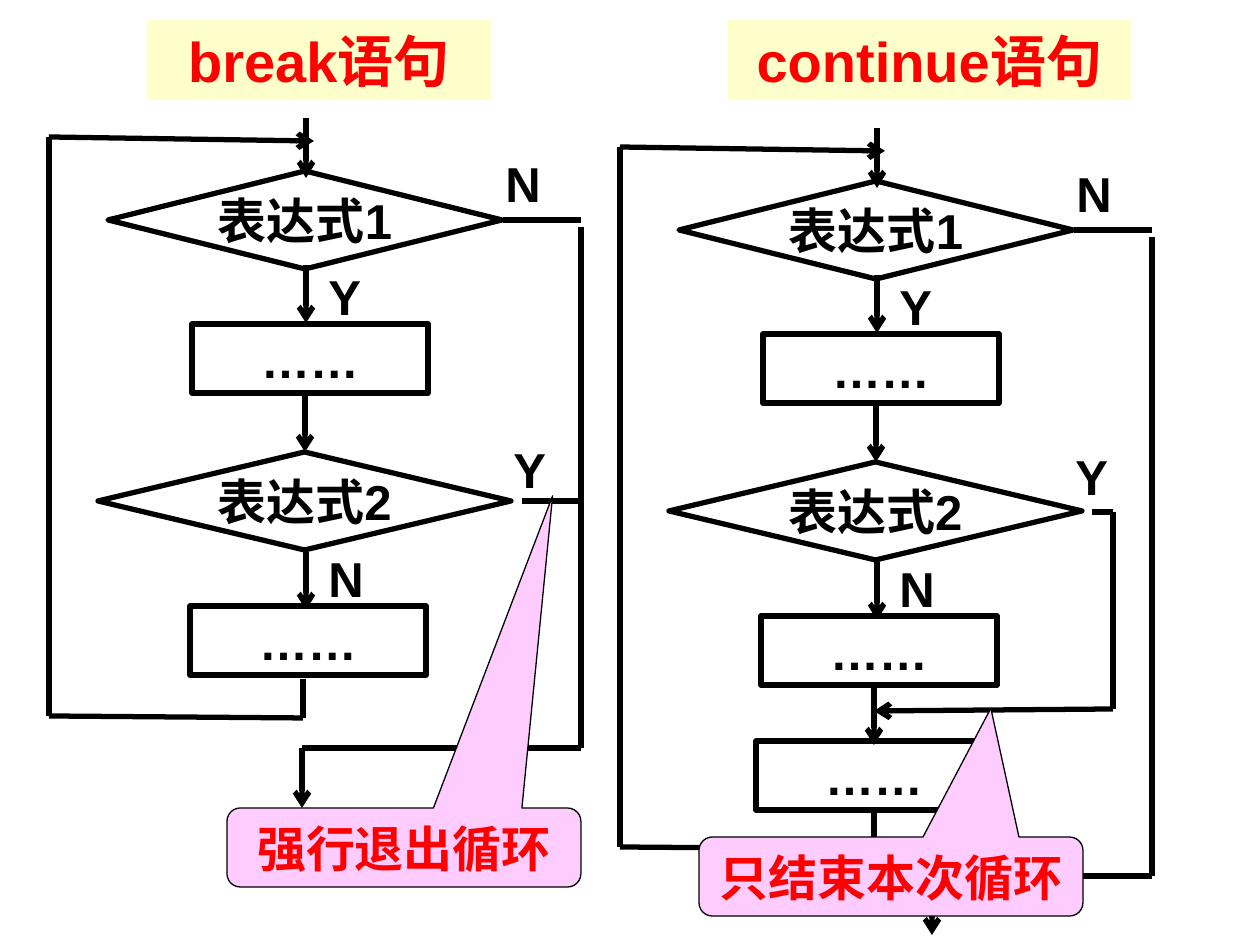
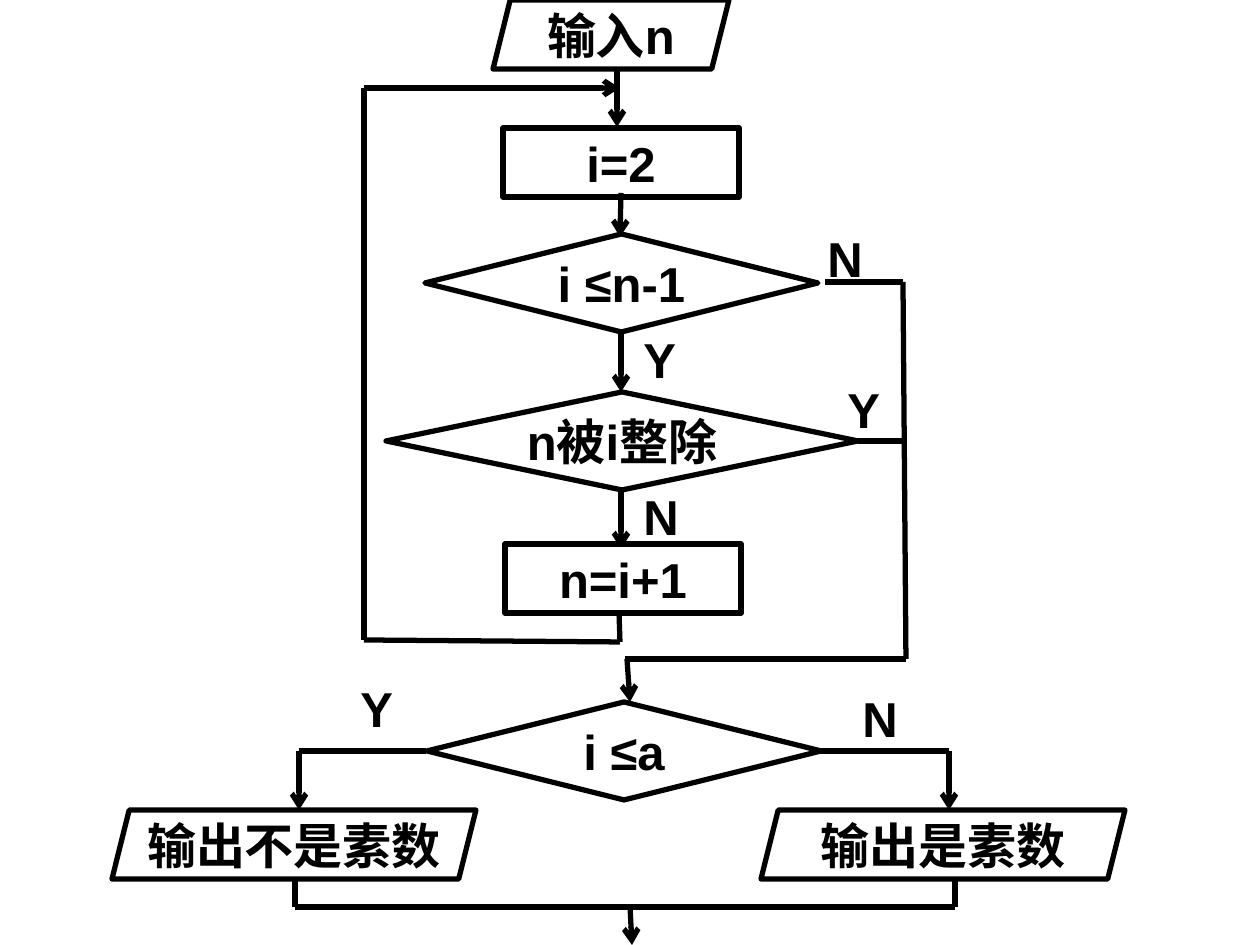
import itertools
from dataclasses import dataclass

import pptx
import pptx.dml.color
import pptx.enum.shapes
import pptx.enum.text
import pptx.oxml
import pptx.oxml.ns
import pptx.util

PX = 914400 / 126
SHAPE = pptx.enum.shapes.MSO_SHAPE
ALIGN = pptx.enum.text.PP_ALIGN
ANCHOR = pptx.enum.text.MSO_ANCHOR
A_NS = pptx.oxml.ns.nsdecls("a")


@dataclass(frozen=True)
class Theme:
    font: str = "Arial"
    ink: str = "000000"
    paper: str = "FFFFFF"
    accent: str = "FF0000"
    heading_fill: str = "FFFFCC"
    callout_fill: str = "FFCCFF"
    body_size: int = 28
    heading_size: int = 32
    flow_width: float = 3
    callout_width: float = 0.75


THEME = Theme()
STEP_SIZE = (236, 69)
DECISION_HEIGHT = 98
LABEL_SIZE = {"N": (69, 72), "Y": (62, 72)}


def px(length):
    return pptx.util.Emu(round(length * PX))


def rgb(color):
    return pptx.dml.color.RGBColor.from_string(color)


def write(shape, text, color=THEME.ink, size=THEME.body_size, align=ALIGN.CENTER,
          anchor=ANCHOR.MIDDLE, inset=(0, 0), wrap=False):
    frame = shape.text_frame
    frame.word_wrap = wrap
    frame.vertical_anchor = anchor
    frame.margin_left = frame.margin_right = pptx.util.Inches(inset[0])
    frame.margin_top = frame.margin_bottom = pptx.util.Inches(inset[1])
    paragraph = frame.paragraphs[0]
    paragraph.alignment = align
    run = paragraph.add_run()
    run.text = text
    run.font.name = THEME.font
    run.font.size = pptx.util.Pt(size)
    run.font.bold = True
    run.font.color.rgb = rgb(color)


class Region:
    """Part of a slide whose children are placed from its top left corner."""

    def __init__(self, slide, left, top):
        self.shapes = slide.shapes
        self.left, self.top = left, top

    def spot(self, x, y):
        return px(self.left + x), px(self.top + y)

    def block(self, kind, x, y, width, height, fill=THEME.paper,
              line_width=THEME.flow_width):
        shape = self.shapes.add_shape(kind, *self.spot(x, y), px(width), px(height))
        shape.shadow.inherit = False
        shape.fill.solid()
        shape.fill.fore_color.rgb = rgb(fill)
        if line_width:
            shape.line.color.rgb = rgb(THEME.ink)
            shape.line.width = pptx.util.Pt(line_width)
        else:
            shape.line.fill.background()
        return shape

    def step(self, text, x, y):
        write(self.block(SHAPE.FLOWCHART_PROCESS, x, y, *STEP_SIZE), text)

    def decision(self, text, x, y, width):
        write(self.block(SHAPE.FLOWCHART_DECISION, x, y, width, DECISION_HEIGHT), text)

    def data(self, text, x, y, width):
        """Input or output parallelogram."""
        write(self.block(SHAPE.PARALLELOGRAM, x, y, width, STEP_SIZE[1]), text)

    def heading(self, text, x, y, width):
        banner = self.block(SHAPE.RECTANGLE, x, y, width, 80, THEME.heading_fill, 0)
        write(banner, text, color=THEME.accent, size=THEME.heading_size,
              anchor=ANCHOR.TOP, inset=(0.1, 0.05), wrap=True)

    def callout(self, text, x, y, width, pointer):
        bubble = self.block(SHAPE.ROUNDED_RECTANGULAR_CALLOUT, x, y, width, 79,
                            THEME.callout_fill, THEME.callout_width)
        for index, value in enumerate((*pointer, 0.17)):
            bubble.adjustments[index] = value
        write(bubble, text, color=THEME.accent, inset=(0.1, 0.05))

    def label(self, text, x, y):
        width, height = LABEL_SIZE[text]
        box = self.shapes.add_textbox(*self.spot(x, y), px(width), px(height))
        write(box, text, align=ALIGN.LEFT, anchor=ANCHOR.TOP,
              inset=(0.1, 0.05), wrap=True)

    def flow(self, *points, arrow=False):
        """Straight lines through the points, the last one with an arrowhead if asked."""
        for start, end in itertools.pairwise(points):
            line = self.shapes.add_connector(
                pptx.enum.shapes.MSO_CONNECTOR.STRAIGHT,
                *self.spot(*start), *self.spot(*end))
            line.line.color.rgb = rgb(THEME.ink)
            line.line.width = pptx.util.Pt(THEME.flow_width)
            properties = line._element.spPr
            if arrow and end == points[-1]:
                properties.find(pptx.oxml.ns.qn("a:ln")).append(
                    pptx.oxml.parse_xml(f'<a:tailEnd {A_NS} type="arrow"/>'))
            properties.append(pptx.oxml.parse_xml(f"<a:effectLst {A_NS}/>"))


def loop_chart(region, back_start, back_end, exit_y):
    """The loop that both statements share; returns nothing but fills the region."""
    region.label("N", 444, 29)
    region.flow((0, 19), (265, 23), arrow=True)
    region.flow((532, 109), (532, exit_y), (253, exit_y))
    region.flow((532, 102), (454, 102))
    region.decision("表达式1", 59, 53, 394)
    region.flow((257, 0), (257, 60), arrow=True)
    region.label("Y", 267, 142)
    region.flow((257, 147), (257, 205), arrow=True)
    region.decision("表达式2", 49, 334, 413)
    region.label("N", 267, 424)
    region.flow((257, 434), (257, 492), arrow=True)
    region.flow((254, back_start), (254, back_end), (0, back_end - 2), (0, 19))
    region.step("……", 143, 206)
    region.flow((256, 276), (256, 334), arrow=True)
    region.step("……", 141, 488)


def break_panel(region):
    loop_chart(region, back_start=561, back_end=600, exit_y=630)
    region.flow((253, 630), (253, 690), arrow=True)
    region.flow((532, 383), (473, 383))
    region.label("Y", 452, 315)
    region.heading("break语句", 98, -98, 344)
    region.callout("强行退出循环", 178, 690, 354, (0.42, -4.45))


def continue_panel(region):
    loop_chart(region, back_start=681, back_end=721, exit_y=748)
    region.flow((312, 748), (312, 807), arrow=True)
    region.step("……", 136, 613)
    region.flow((254, 557), (254, 617), arrow=True)
    region.flow((472, 384), (493, 384), (493, 581), (254, 583), arrow=True)
    region.label("Y", 443, 312)
    region.heading("continue语句", 108, -108, 403)
    region.callout("只结束本次循环", 79, 709, 384, (0.26, -2.13))


def divisor_loop(region):
    region.label("N", 451, 222)
    region.flow((0, 88), (256, 88), arrow=True)
    region.flow((461, 282), (539, 282), (542, 659), (261, 659))
    region.flow((263, 659), (266, 702), arrow=True)
    region.label("N", 267, 480)
    region.flow((257, 490), (257, 549), arrow=True)
    region.flow((255, 612), (256, 642), (0, 640), (0, 88))
    region.label("Y", 471, 373)
    region.step("n=i+1", 141, 544)
    region.data("输入n", 129, 0, STEP_SIZE[0])
    region.flow((253, 68), (253, 127), arrow=True)
    region.step("i=2", 139, 128)
    region.decision("i ≤n-1", 61, 234, 393)
    region.flow((257, 193), (256, 237), arrow=True)
    region.label("Y", 267, 323)
    region.flow((257, 333), (257, 392), arrow=True)
    region.decision("n被i整除", 22, 392, 472)
    region.flow((542, 441), (494, 441))


def prime_verdict(region):
    region.decision("i ≤a", 315, 30, 394)
    branches = (
        ("Y", (236, 0), 314, 187, 0, "输出不是素数"),
        ("N", (738, 10), 708, 837, 649, "输出是素数"),
    )
    for answer, label_spot, corner, drop, left, verdict in branches:
        region.flow((corner, 79), (drop, 79), (drop, 138), arrow=True)
        region.data(verdict, left, 138, 364)
        region.label(answer, *label_spot)
    region.flow((183, 206), (183, 235), (843, 235), (843, 206))
    region.flow((518, 234), (520, 273), arrow=True)


def main():
    deck = pptx.Presentation()
    deck.slide_width = pptx.util.Inches(10)
    deck.slide_height = pptx.util.Inches(7.5)
    blank = deck.slide_layouts[6]

    statements = deck.slides.add_slide(blank)
    break_panel(Region(statements, 49, 118))
    continue_panel(Region(statements, 620, 128))

    prime_test = deck.slides.add_slide(blank)
    divisor_loop(Region(prime_test, 364, 0))
    prime_verdict(Region(prime_test, 112, 672))

    deck.save("out.pptx")


if __name__ == "__main__":
    main()
